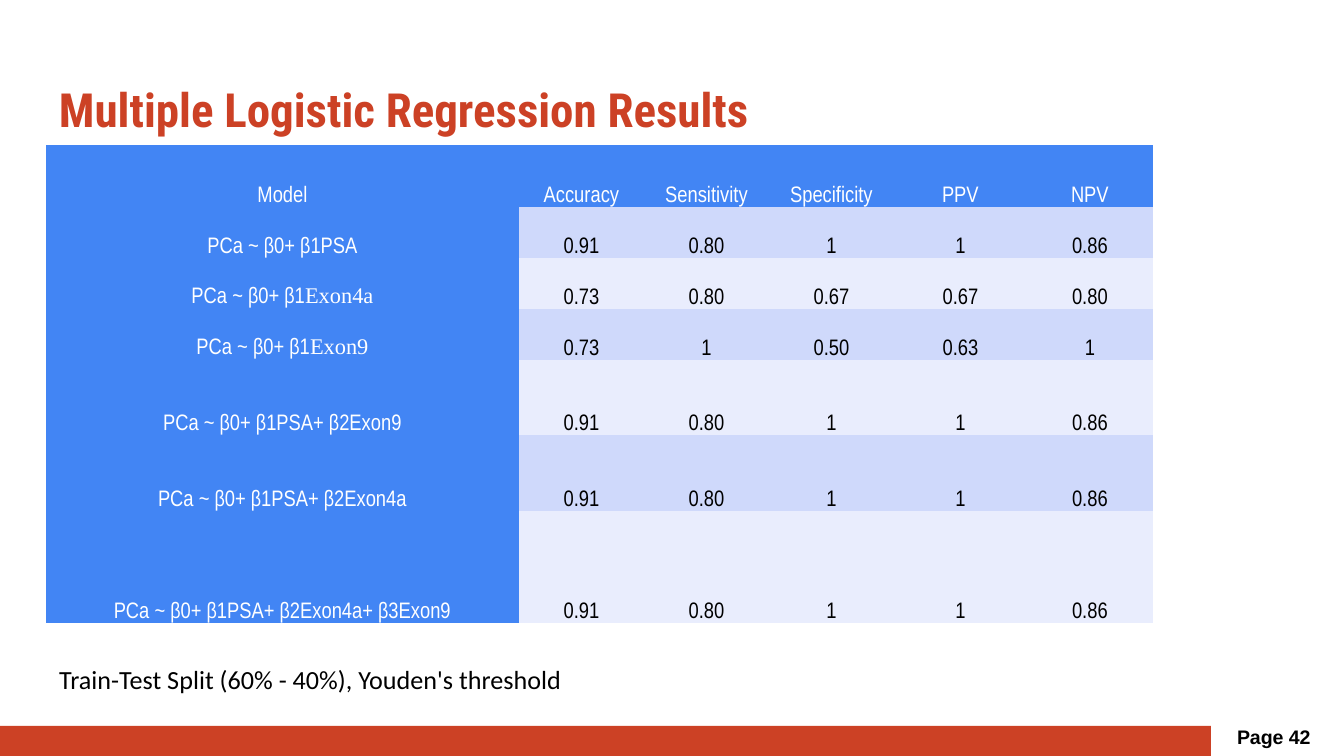
from pptx import Presentation
from pptx.dml.color import RGBColor
from pptx.enum.shapes import MSO_SHAPE as Shape
from pptx.enum.text import MSO_ANCHOR as Anchor, MSO_AUTO_SIZE as AutoSize, PP_ALIGN as Align
from pptx.oxml.ns import qn
from pptx.util import Emu, Pt

SCALE = 914400 / 134.4
RED, BLUE, WHITE, BLACK = "CC4125", "4285F4", "FFFFFF", "000000"
BANDS = ["CFD9FB", "E9EDFD"]
NO_GRID_STYLE = "{2D5ABB26-0587-4C30-8999-92F81FD0307C}"


def px(length):
    return Emu(round(length * SCALE))


def color(hex_string):
    return RGBColor.from_string(hex_string)


class SlideBuilder:
    narrow, serif = "Arial Narrow", "Times New Roman"

    def __init__(self, page):
        self.page = page

    def style(self, span, font, size, ink, bold=False):
        span.font.name = font
        span.font.size = Pt(size)
        span.font.bold = bold
        span.font.color.rgb = color(ink)

    def text(self, area, words, font, size, ink, bold=False, inset=13, anchor=Anchor.TOP, wrap=True):
        box = self.page.shapes.add_textbox(*map(px, area))
        frame = box.text_frame
        frame.text = words
        frame.word_wrap = wrap
        frame.auto_size = AutoSize.NONE if wrap else AutoSize.SHAPE_TO_FIT_TEXT
        frame.vertical_anchor = anchor
        if inset is not None:
            frame.margin_left = frame.margin_right = px(inset)
            frame.margin_top = frame.margin_bottom = px(inset)
        para = frame.paragraphs[0]
        self.style(para.runs[0], font, size, ink, bold)
        return para

    def bar(self, area, fill):
        bar = self.page.shapes.add_shape(Shape.RECTANGLE, *map(px, area))
        bar.shadow.inherit = False
        bar.fill.solid()
        bar.fill.fore_color.rgb = color(fill)
        bar.line.fill.background()

    def cell(self, cell, words, fill, ink, serif_words=""):
        cell.fill.solid()
        cell.fill.fore_color.rgb = color(fill)
        cell.vertical_anchor = Anchor.BOTTOM
        cell.margin_left = cell.margin_right = cell.margin_top = px(1)
        cell.margin_bottom = 0
        para = cell.text_frame.paragraphs[0]
        para.text = words
        para.alignment = Align.CENTER
        self.style(para.runs[0], self.narrow, 12, ink)
        if serif_words:
            span = para.add_run()
            span.text = serif_words
            self.style(span, self.serif, 12, ink)

    def table(self, left, top, widths, heights, rows):
        frame = self.page.shapes.add_table(
            len(rows), len(widths), px(left), px(top), px(sum(widths)), px(sum(heights)))
        for style_id in frame.element.iter(qn("a:tableStyleId")):
            style_id.text = NO_GRID_STYLE
        table = frame.table
        for column, width in zip(table.columns, widths):
            column.width = px(width)
        for row, height in zip(table.rows, heights):
            row.height = px(height)
        for i, values in enumerate(rows):
            for j, value in enumerate(values):
                heading = i == 0 or j == 0
                fill = BLUE if heading else BANDS[(i - 1) % 2]
                # "|" marks where a model name changes to the serif font
                words, _, serif_words = value.partition("|")
                self.cell(table.cell(i, j), words, fill, WHITE if heading else BLACK, serif_words)


deck = Presentation()
deck.slide_width, deck.slide_height = px(1344), px(756)
slide = SlideBuilder(deck.slides.add_slide(deck.slide_layouts[6]))

# Title
slide.text((46, 66, 1253, 85), "Multiple Logistic Regression Results",
           "Roboto Condensed", 25.2, RED, bold=True, anchor=Anchor.MIDDLE)

# Footer bar and page number
slide.bar((0, 726, 1211, 30), RED)
page_number = slide.text((1224, 716, 103, 50), "Page 42", "Arial", 10.5, BLACK, bold=True)
page_number.line_spacing = 0.8
page_number.space_after = Pt(12)

# Model results
slide.table(46, 145, [473, 125, 125, 125, 133, 126], [62, 51, 51, 51, 75, 76, 112], [
    ["Model", "Accuracy", "Sensitivity", "Specificity", "PPV", "NPV"],
    ["PCa ~ β0+ β1PSA", "0.91", "0.80", "1", "1", "0.86"],
    ["PCa ~ β0+ β1|Exon4a", "0.73", "0.80", "0.67", "0.67", "0.80"],
    ["PCa ~ β0+ β1|Exon9", "0.73", "1", "0.50", "0.63", "1"],
    ["PCa ~ β0+ β1PSA+ β2Exon9", "0.91", "0.80", "1", "1", "0.86"],
    ["PCa ~ β0+ β1PSA+ β2Exon4a", "0.91", "0.80", "1", "1", "0.86"],
    ["PCa ~ β0+ β1PSA+ β2Exon4a+ β3Exon9", "0.91", "0.80", "1", "1", "0.86"],
])

# Note under the table
slide.text((46, 657, 547, 46), "Train-Test Split (60% - 40%), Youden's threshold",
           "Calibri", 14, BLACK, inset=None, wrap=False)

deck.save("out.pptx")
